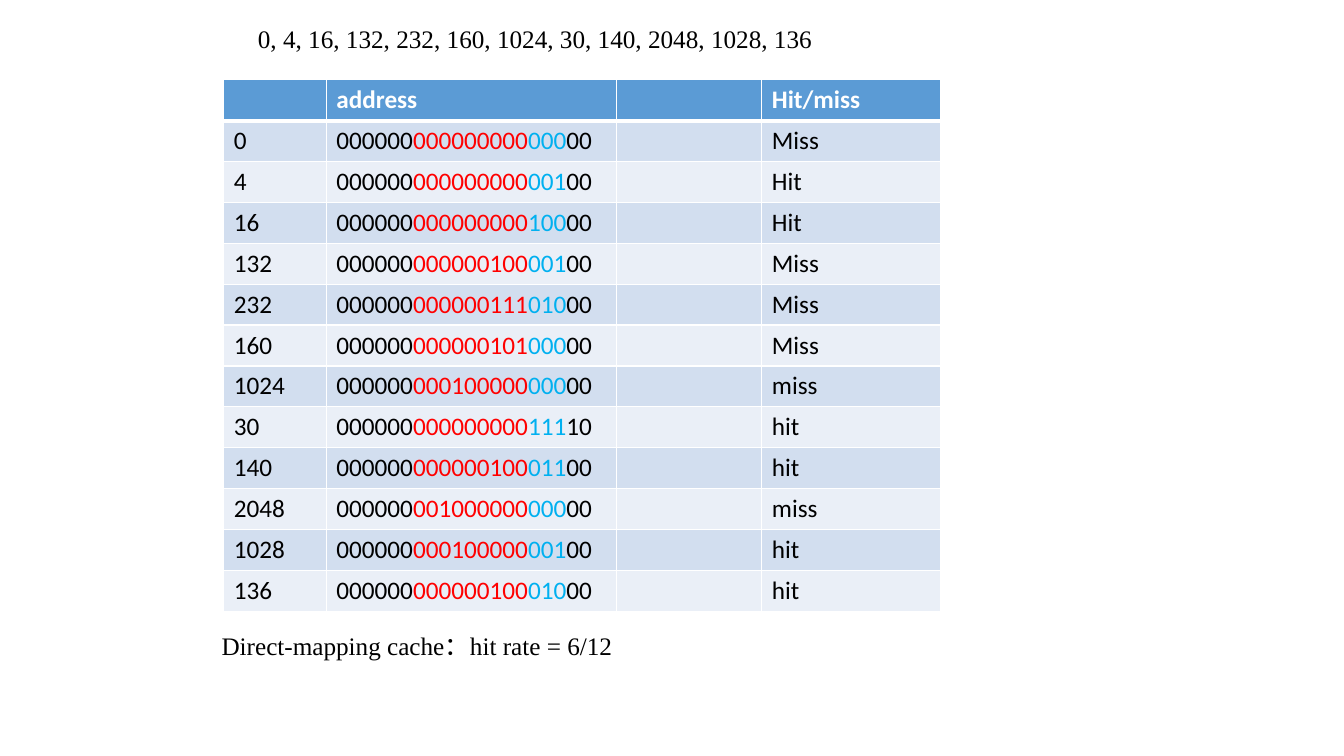
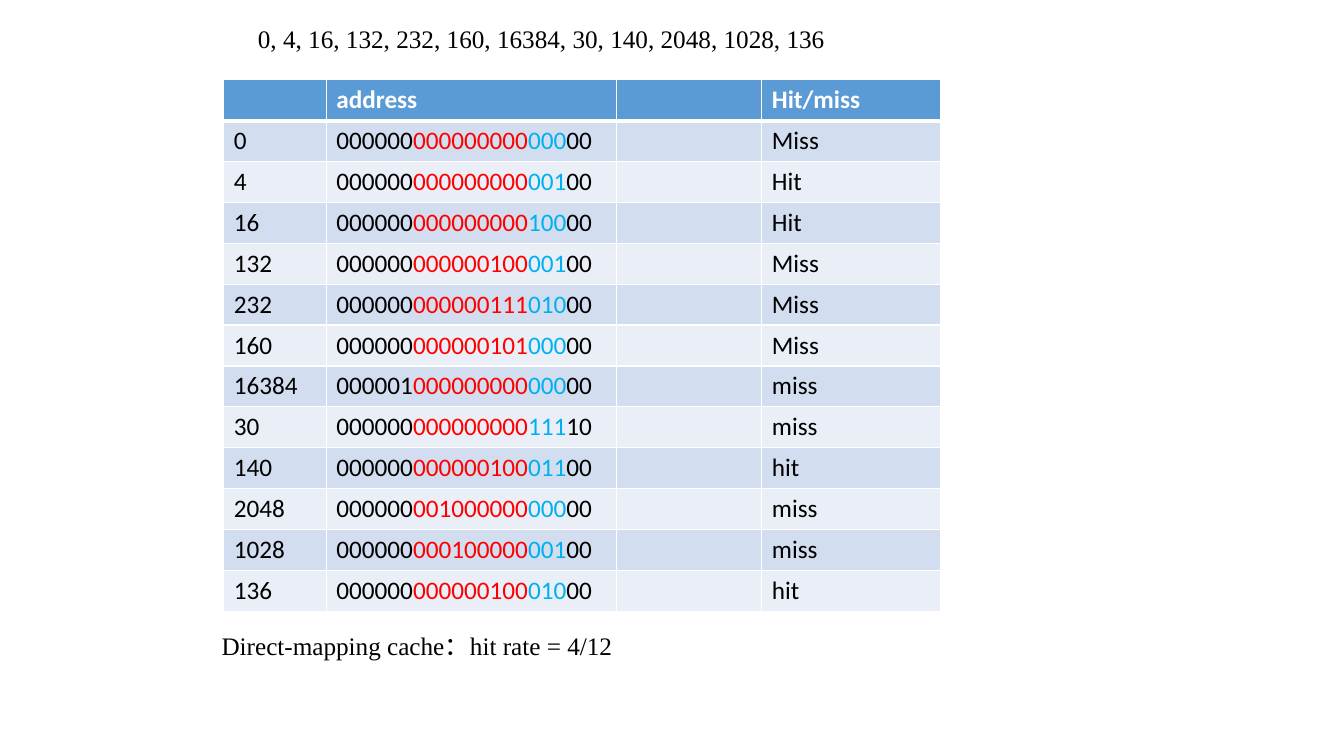
from dataclasses import dataclass

from lxml import etree
from pptx import Presentation
from pptx.dml.color import RGBColor
from pptx.enum.text import MSO_ANCHOR, MSO_AUTO_SIZE, PP_ALIGN
from pptx.oxml.ns import qn
from pptx.util import Pt

TOP, NO_FIT, LEFT = MSO_ANCHOR.TOP, MSO_AUTO_SIZE.NONE, PP_ALIGN.LEFT
TITLE_ONLY = 5


@dataclass(frozen=True)
class Theme:
    serif: str = "Times New Roman"
    sans: str = "Calibri"
    size: int = 18
    text: str = "000000"
    light: str = "FFFFFF"
    index: str = "FF0000"
    offset: str = "00B0F0"
    header: str = "5B9BD5"
    bands: tuple = ("D2DEEF", "EAEFF7")
    rule: int = 1
    header_rule: int = 3


@dataclass(frozen=True)
class Box:
    left: float
    top: float
    width: float
    height: float

    def lengths(self):
        return [Pt(n) for n in (self.left, self.top, self.width, self.height)]


THEME = Theme()
TITLE_BOX = Box(177, 13, 428, 29)
TABLE_BOX = Box(159.9, 57, 512.2, 379.6)
CAPTION_BOX = Box(151.2, 447, 296.8, 29)
COLUMN_WIDTHS = (73.2, 207.4, 103.7, 127.9)
HEADINGS = ("", "address", "", "Hit/miss")
# Address fields from the high bits down: (bits, colour)
FIELDS = ((6, THEME.text), (9, THEME.index), (3, THEME.offset), (2, THEME.text))

TRACES = (
    ((0, "Miss"), (4, "Hit"), (16, "Hit"), (132, "Miss"), (232, "Miss"), (160, "Miss"),
     (1024, "miss"), (30, "hit"), (140, "hit"), (2048, "miss"), (1028, "hit"), (136, "hit")),
    ((0, "Miss"), (4, "Hit"), (16, "Hit"), (132, "Miss"), (232, "Miss"), (160, "Miss"),
     (16384, "miss"), (30, "miss"), (140, "hit"), (2048, "miss"), (1028, "miss"), (136, "hit")),
)


def add_span(para, text, font, colour, bold=False):
    span = para.add_run()
    span.text = text
    span.font.name = font
    span.font.size = Pt(THEME.size)
    span.font.bold = bold
    span.font.color.rgb = RGBColor.from_string(colour)


def write_line(shape, text):
    frame = shape.text_frame
    frame.word_wrap = True
    frame.auto_size = NO_FIT
    frame.vertical_anchor = TOP
    para = frame.paragraphs[0]
    para.alignment = LEFT
    add_span(para, text, THEME.serif, THEME.text)


def add_title(page, box, trace):
    title = page.shapes.title
    title.left, title.top, title.width, title.height = box.lengths()
    write_line(title, ", ".join(str(address) for address, _ in trace))


def add_caption(page, box, trace):
    hits = sum(outcome.lower() == "hit" for _, outcome in trace)
    caption = page.shapes.add_textbox(*box.lengths())
    write_line(caption, f"Direct-mapping cache：hit rate = {hits}/{len(trace)}")


def style_cell(cell, fill, top, bottom):
    """Fill a cell and rule its four sides; top and bottom are line widths."""
    properties = cell._tc.get_or_add_tcPr()
    sides = (("lnL", THEME.rule), ("lnR", THEME.rule), ("lnT", top), ("lnB", bottom))
    for side, width in sides:
        line = etree.SubElement(properties, qn(f"a:{side}"), w=str(Pt(width)))
        solid = etree.SubElement(line, qn("a:solidFill"))
        etree.SubElement(solid, qn("a:srgbClr"), val=THEME.light)
    cell.fill.solid()
    cell.fill.fore_color.rgb = RGBColor.from_string(fill)


def address_spans(address):
    """Split the binary address into its coloured fields."""
    bits = format(address, f"0{sum(width for width, _ in FIELDS)}b")
    spans, start = [], 0
    for width, colour in FIELDS:
        spans.append((bits[start:start + width], colour))
        start += width
    return spans


def add_trace_table(page, box, trace):
    rows = [[[(heading, THEME.light)] if heading else [] for heading in HEADINGS]]
    for address, outcome in trace:
        rows.append([[(str(address), THEME.text)], address_spans(address),
                     [], [(outcome, THEME.text)]])

    table = page.shapes.add_table(len(rows), len(HEADINGS), *box.lengths()).table
    for column, width in zip(table.columns, COLUMN_WIDTHS):
        column.width = Pt(width)
    for number, row in enumerate(rows):
        table.rows[number].height = Pt(box.height / len(rows))
        is_header = number == 0
        fill = THEME.header if is_header else THEME.bands[(number - 1) % 2]
        top = THEME.header_rule if number == 1 else THEME.rule
        bottom = THEME.header_rule if is_header else THEME.rule
        for cell, spans in zip(table.rows[number].cells, row):
            style_cell(cell, fill, top, bottom)
            for text, colour in spans:
                add_span(cell.text_frame.paragraphs[0], text, THEME.sans, colour, is_header)


def add_trace_page(deck, trace):
    page = deck.slides.add_slide(deck.slide_layouts[TITLE_ONLY])
    add_title(page, TITLE_BOX, trace)
    add_trace_table(page, TABLE_BOX, trace)
    add_caption(page, CAPTION_BOX, trace)


def main():
    deck = Presentation()
    deck.slide_width, deck.slide_height = Pt(960), Pt(540)
    for trace in TRACES:
        add_trace_page(deck, trace)
    deck.save("out.pptx")


if __name__ == "__main__":
    main()
